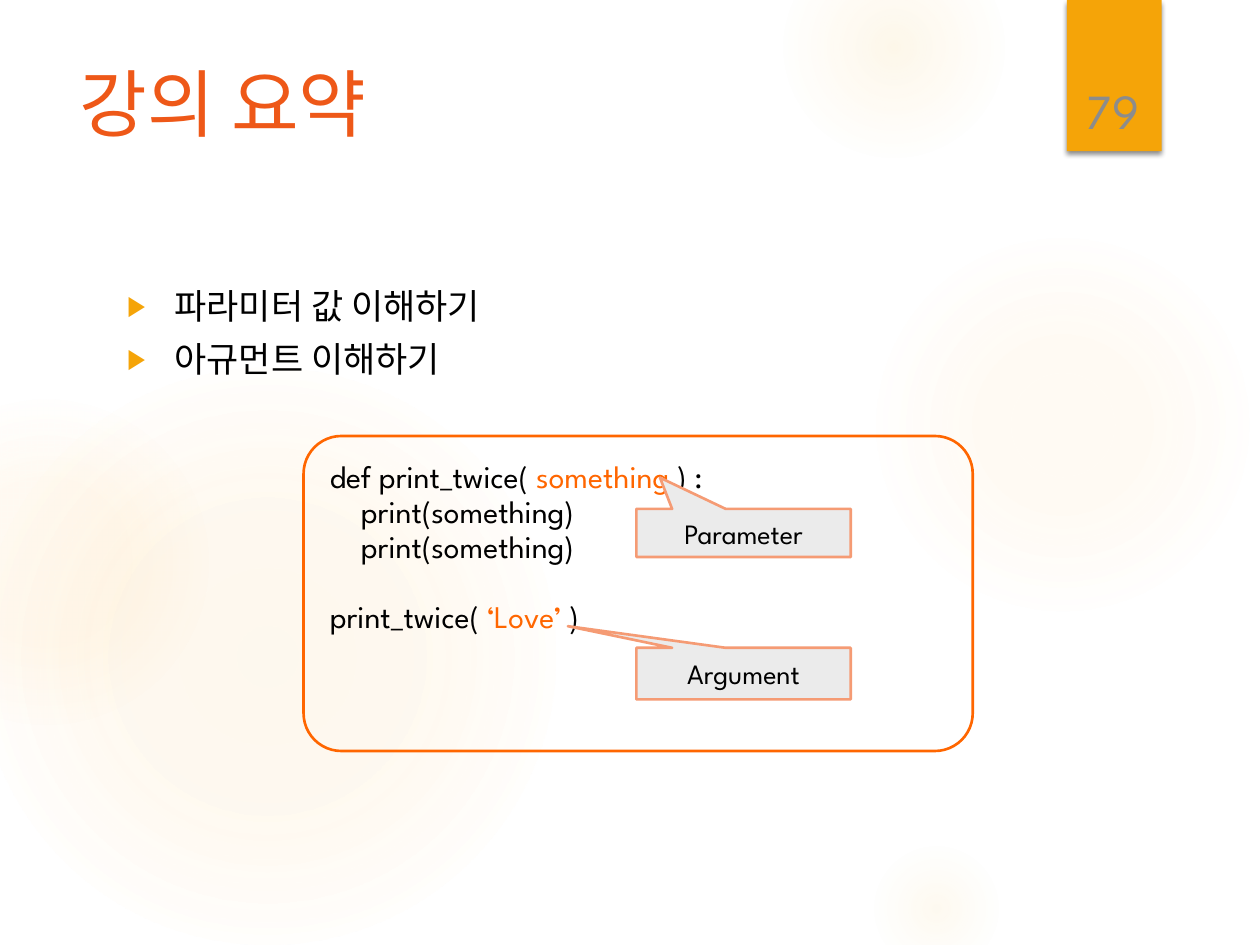
from lxml import etree
from pptx import Presentation
from pptx.dml.color import RGBColor
from pptx.enum.shapes import MSO_SHAPE
from pptx.enum.text import MSO_ANCHOR, MSO_AUTO_SIZE, PP_ALIGN
from pptx.oxml import parse_xml
from pptx.oxml.ns import nsdecls, qn
from pptx.util import Cm, Pt

OVAL, RECT = MSO_SHAPE.OVAL, MSO_SHAPE.RECTANGLE
ROUND, CALLOUT = MSO_SHAPE.ROUNDED_RECTANGLE, MSO_SHAPE.RECTANGULAR_CALLOUT
TOP, MIDDLE, BOTTOM = MSO_ANCHOR.TOP, MSO_ANCHOR.MIDDLE, MSO_ANCHOR.BOTTOM
LEFT, CENTER = PP_ALIGN.LEFT, PP_ALIGN.CENTER
NO_FIT = MSO_AUTO_SIZE.NONE

BLACK = RGBColor(0x00, 0x00, 0x00)
GREY = RGBColor(0x8C, 0x8C, 0x8C)
PALE = RGBColor(0xEB, 0xEB, 0xEB)
AMBER = RGBColor(0xF5, 0xA4, 0x08)
GLOW = RGBColor(0xFA, 0xC9, 0x6A)
RED = RGBColor(0xEE, 0x58, 0x18)
ORANGE = RGBColor(0xFF, 0x66, 0x00)
SALMON = RGBColor(0xF5, 0x9B, 0x74)

HANGUL, LATIN = "Noto Sans CJK KR", "League Spartan"

TITLE = "강의 요약"
POINTS = ["파라미터 값 이해하기", "아규먼트 이해하기"]
PAGE = "79"
# A line is a string or a list of (text, colour) runs.
CODE = [
    [("def print_twice( ", BLACK), ("something", ORANGE), (" ) :", BLACK)],
    "    print(something)",
    "    print(something)",
    [("print_twice( ", BLACK), ("‘Love’ ", ORANGE), (")", BLACK)],
]
# Label, top, height, pointer position
NOTES = [
    ("Parameter", 10.26, 0.97, (-0.39, -1.15)),
    ("Argument", 13.06, 1.04, (-0.82, -0.92)),
]
# Left, top, diameter, (position, opacity) stops in percent
GLOWS = [
    (17.5, 4.65, 7.82, [(0, 7), (36, 6), (69, 0)]),
    (15.8, -1.27, 4.45, [(0, 14), (36, 7), (73, 0)]),
    (17.5, 16.94, 2.74, [(0, 10), (31, 5), (66, 0)]),
    (-0.43, 7.42, 11.63, [(0, 11), (36, 10), (75, 0)]),
    (-2.34, 8.05, 6.55, [(0, 8), (36, 8), (72, 0)]),
]


def box(*sides):
    return [Cm(side) for side in sides]


def write(frame, lines, font=LATIN, size=18, color=BLACK, align=LEFT,
          anchor=TOP, pitch=None, gaps=(), bullet=False):
    """Fill a text frame; gaps maps line numbers to space before."""
    frame.word_wrap = True
    frame.auto_size = NO_FIT
    frame.vertical_anchor = anchor
    gaps = dict(gaps)
    for i, line in enumerate(lines):
        para = frame.paragraphs[0] if i == 0 else frame.add_paragraph()
        para.alignment = align
        para.space_before = Pt(gaps.get(i, 0))
        if pitch:
            para.line_spacing = pitch
        if bullet:
            mark(para)
        for text, tint in [(line, color)] if isinstance(line, str) else line:
            run = para.add_run()
            run.text = text
            run.font.name, run.font.size = font, Pt(size)
            run.font.color.rgb = tint
            east = etree.SubElement(run.font._element, qn("a:ea"))
            east.set("typeface", font)


def mark(para):
    props = para._p.get_or_add_pPr()
    props.set("marL", str(Cm(0.95)))
    props.set("indent", str(-Cm(0.95)))
    for xml in (f'<a:buClr {nsdecls("a")}><a:srgbClr val="{AMBER}"/></a:buClr>',
                f'<a:buSzPct {nsdecls("a")} val="80000"/>',
                f'<a:buFont {nsdecls("a")} typeface="Arial"/>',
                f'<a:buChar {nsdecls("a")} char="▶"/>'):
        props.append(parse_xml(xml))


def draw(slide, kind, place, fill=None, line=None):
    shape = slide.shapes.add_shape(kind, *box(*place))
    shape.shadow.inherit = False
    if fill is None:
        shape.fill.background()
    else:
        shape.fill.solid()
        shape.fill.fore_color.rgb = fill
    if line is None:
        shape.line.fill.background()
    else:
        shape.line.color.rgb = line
        shape.line.width = Pt(1.5)
    return shape


def shine(shape, stops):
    """Replace the fill with a radial fade."""
    steps = "".join(
        f'<a:gs pos="{pos * 1000}"><a:srgbClr val="{GLOW}">'
        f'<a:alpha val="{alpha * 1000}"/></a:srgbClr></a:gs>'
        for pos, alpha in stops)
    props = shape._element.spPr
    old = props.find(qn("a:noFill"))
    props.replace(old, parse_xml(
        f'<a:gradFill {nsdecls("a")}><a:gsLst>{steps}</a:gsLst>'
        '<a:path path="circle"><a:fillToRect l="50000" t="50000" '
        'r="50000" b="50000"/></a:path></a:gradFill>'))


def shade(shape):
    shape._element.spPr.find(qn("a:effectLst")).append(parse_xml(
        f'<a:outerShdw {nsdecls("a")} blurRad="{Pt(3)}" dist="{Pt(2)}" '
        'dir="5400000" rotWithShape="0"><a:srgbClr val="000000">'
        '<a:alpha val="45000"/></a:srgbClr></a:outerShdw>'))


def hold(slide, holder, place):
    """Place a placeholder in front of the backdrop."""
    holder.left, holder.top, holder.width, holder.height = box(*place)
    slide.shapes._spTree.append(holder._element)
    return holder.text_frame


def main():
    deck = Presentation()
    deck.slide_width, deck.slide_height = box(25.4, 19.05)
    slide = deck.slides.add_slide(deck.slide_layouts[1])

    for left, top, size, stops in GLOWS:
        shine(draw(slide, OVAL, (left, top, size, size)), stops)
    shade(draw(slide, RECT, (21.51, 0, 1.91, 3.05), fill=AMBER))

    title = hold(slide, slide.shapes.title, (1.35, 1.27, 18.64, 3.89))
    write(title, [TITLE], font=HANGUL, size=42, color=RED, pitch=0.88)
    body = hold(slide, slide.placeholders[1], (2.31, 5.72, 18.64, 11.66))
    write(body, POINTS, font=HANGUL, size=20, pitch=0.88, gaps={1: 9},
          bullet=True)

    page = slide.shapes.add_textbox(*box(21.56, 0.81, 1.75, 2.13))
    write(page.text_frame, [PAGE], size=28, color=GREY, align=CENTER,
          anchor=BOTTOM)

    panel = draw(slide, ROUND, (6.12, 8.79, 13.49, 6.35), line=ORANGE)
    panel.adjustments[0] = 0.12
    code = slide.shapes.add_textbox(*box(6.4, 9.14, 10.52, 3.81))
    write(code.text_frame, CODE, pitch=Pt(20), gaps={3: 20})

    for label, top, height, tip in NOTES:
        note = draw(slide, CALLOUT, (12.83, top, 4.32, height),
                    fill=PALE, line=SALMON)
        note.adjustments[0], note.adjustments[1] = tip
        write(note.text_frame, [label], size=16, align=CENTER, anchor=MIDDLE)

    deck.save("out.pptx")


if __name__ == "__main__":
    main()
